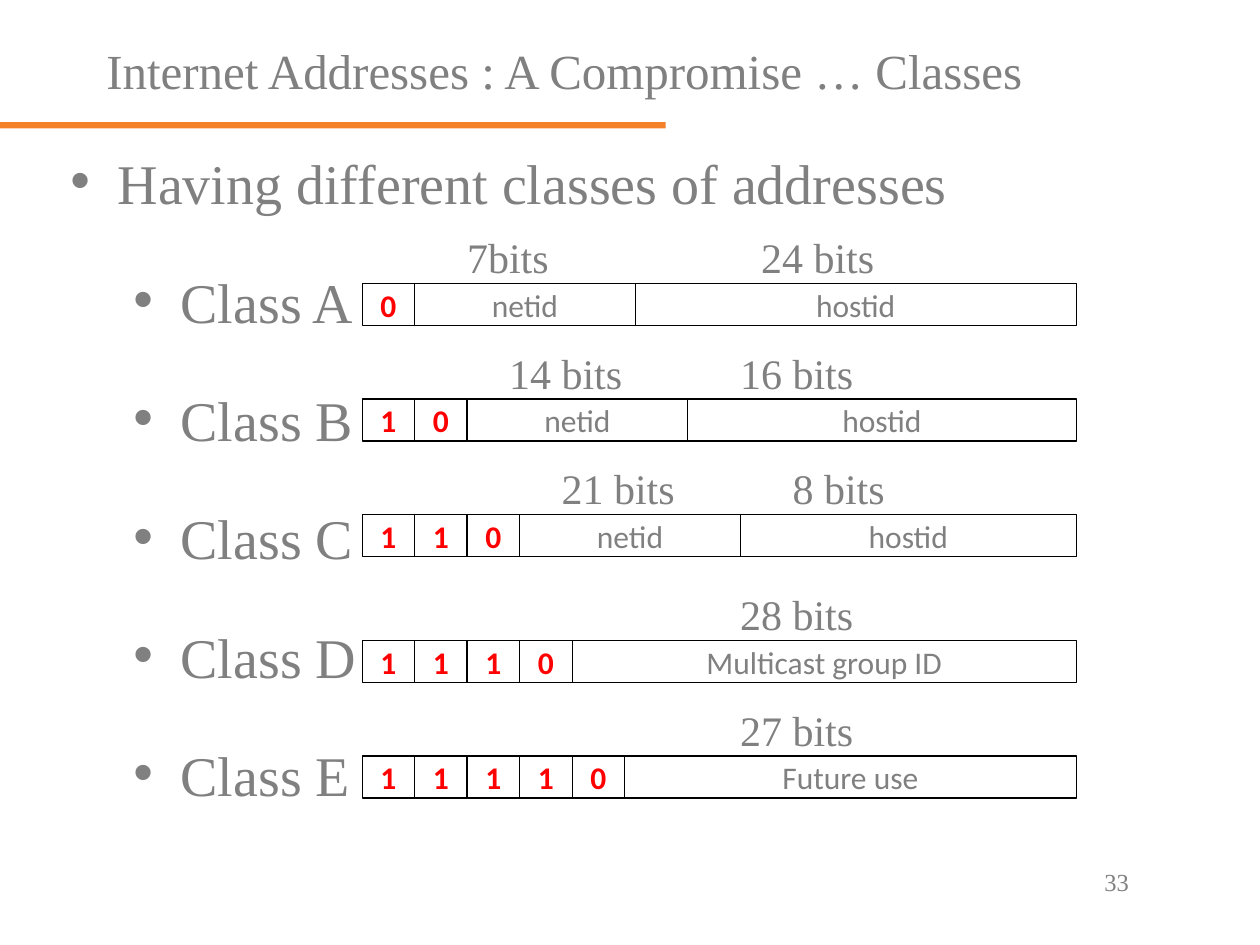
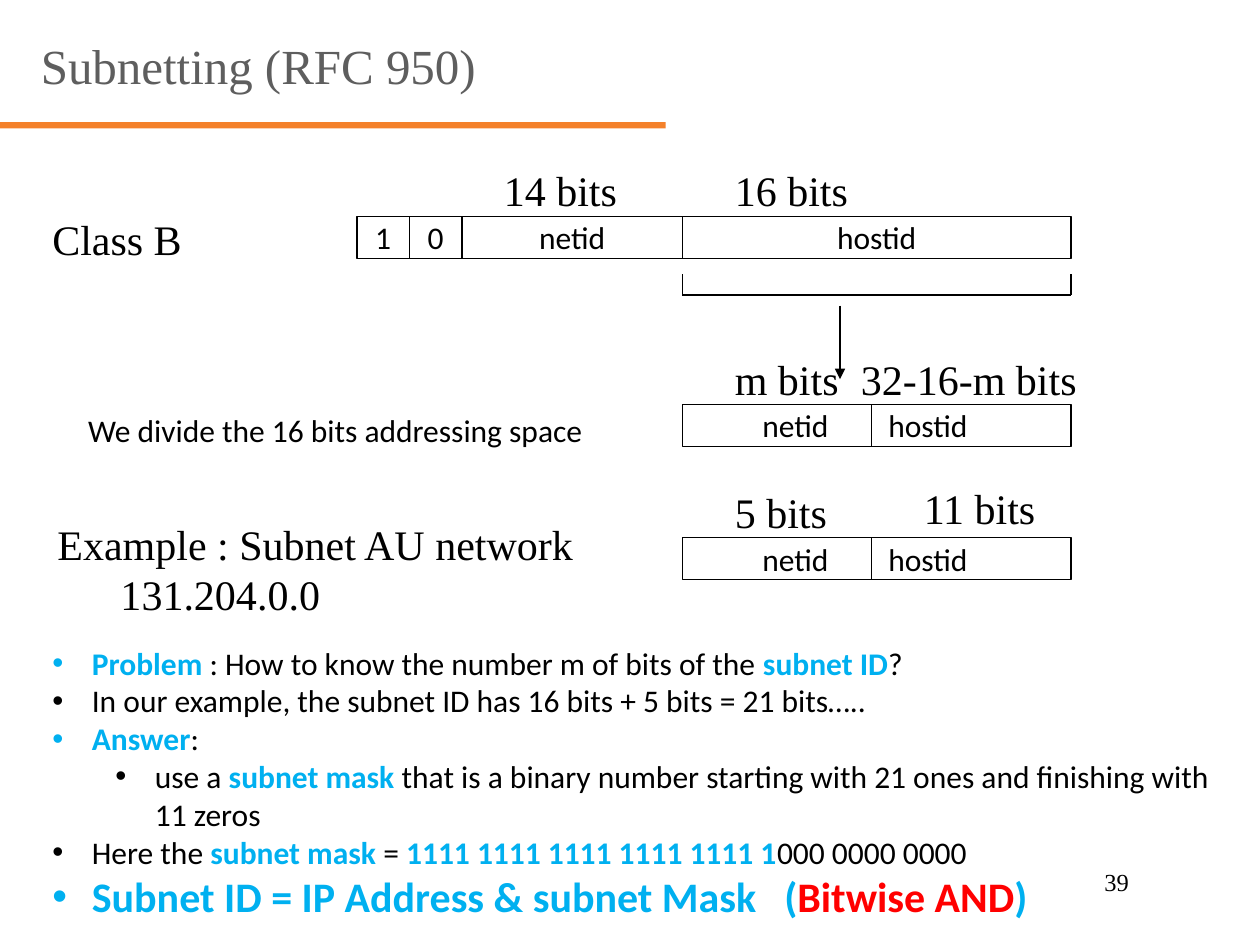
from dataclasses import dataclass
from typing import NamedTuple

from lxml.etree import SubElement
from pptx import Presentation
from pptx.dml.color import RGBColor
from pptx.enum.shapes import MSO_CONNECTOR as Connector, MSO_SHAPE as Shape
from pptx.enum.text import MSO_ANCHOR as Anchor, MSO_AUTO_SIZE as AutoSize, PP_ALIGN as Align
from pptx.oxml.ns import qn
from pptx.util import Emu, Inches, Pt

COLORS = {"black": "000000", "gray": "808080", "slate": "5E5E5E",
          "red": "FF0000", "blue": "00B0F0", "orange": "F4812A"}
SERIF, SANS = "Times New Roman", "Calibri"

# The page is a grid of 120 columns by 90 rows, twelve to the inch.
COLUMNS, ROWS = 120, 90
UNIT = Inches(10) / COLUMNS
BIT_WIDTH, FIELD_HEIGHT, LABEL_RISE, LABEL_HEIGHT = 5, 4, 5.5, 6


class Box(NamedTuple):
    left: float
    top: float
    width: float
    height: float

    def emu(self) -> list:
        return [units(value) for value in self]


class Run(NamedTuple):
    text: str
    color: str = "black"
    bold: bool = False
    size: float = 0


@dataclass
class Line:
    runs: list
    margin: float = 0
    hang: float = 0
    level: int = 0
    before: float = 0
    tab: float = 0


class Field(NamedTuple):
    name: str
    width: float
    bits: str
    label_shift: float


class AddressClass(NamedTuple):
    name: str
    top: float
    prefix: str
    fields: list


def units(value: float) -> Emu:
    return Emu(round(value * UNIT))


def rgb(name: str) -> RGBColor:
    return RGBColor.from_string(COLORS[name])


def write(frame, lines, *, size=18, font=SANS, color="black", bold=False, align=Align.LEFT,
          anchor=Anchor.TOP, wrap=True, spacing=1.0) -> None:
    """Fill a text frame; lines is a string or a list of Line."""
    frame.word_wrap, frame.auto_size, frame.vertical_anchor = wrap, AutoSize.NONE, anchor
    if isinstance(lines, str):
        lines = [Line([Run(lines, color, bold)])]
    for number, line in enumerate(lines):
        para = frame.paragraphs[0] if number == 0 else frame.add_paragraph()
        para.alignment, para.level = align, line.level
        para.line_spacing, para.space_before = spacing, Pt(line.before)
        props = para._p.get_or_add_pPr()
        props.set("marL", str(units(line.margin)))
        props.set("indent", str(units(-line.hang)))
        if line.hang:
            SubElement(props, qn("a:buChar"), char="•")
        if line.tab:
            tabs = SubElement(props, qn("a:tabLst"))
            SubElement(tabs, qn("a:tab"), pos=str(units(line.tab)), algn="l")
        for part in line.runs:
            run = para.add_run()
            run.text = part.text
            run.font.name, run.font.size = font, Pt(part.size or size)
            run.font.bold, run.font.color.rgb = part.bold, rgb(part.color)


def place(placeholder, box: Box):
    placeholder.left, placeholder.top, placeholder.width, placeholder.height = box.emu()
    return placeholder.text_frame


def add_text(slide, box: Box, lines, **style) -> None:
    write(slide.shapes.add_textbox(*box.emu()).text_frame, lines, **style)


def add_label(slide, left: float, top: float, text: str, color: str) -> None:
    width = 2.4 + 1.56 * len(text)
    add_text(slide, Box(left, top, width, LABEL_HEIGHT), text,
             size=24, font=SERIF, color=color, wrap=False)


def add_cell(slide, box: Box):
    cell = slide.shapes.add_shape(Shape.RECTANGLE, *box.emu())
    cell.shadow.inherit = False
    cell.fill.background()
    cell.line.color.rgb, cell.line.width = rgb("black"), Pt(0.75)
    frame = cell.text_frame
    frame.margin_left = frame.margin_right = frame.margin_top = frame.margin_bottom = 0
    return frame


def add_line(slide, x1: float, y1: float, x2: float, y2: float, arrow: bool = False) -> None:
    line = slide.shapes.add_connector(Connector.STRAIGHT, *map(units, (x1, y1, x2, y2)))
    line.line.color.rgb, line.line.width = rgb("black"), Pt(0.75)
    if arrow:
        SubElement(line.line._get_or_add_ln(), qn("a:tailEnd"), type="triangle")
    SubElement(line._element.spPr, qn("a:effectLst"))


def add_address(slide, left: float, address: AddressClass, color: str,
                bit_color: str, bit_bold: bool) -> None:
    """Draw the prefix bits one by one, then the named fields with their sizes above."""
    centered = dict(align=Align.CENTER, anchor=Anchor.MIDDLE, wrap=False)
    for bit in address.prefix:
        frame = add_cell(slide, Box(left, address.top, BIT_WIDTH, FIELD_HEIGHT))
        write(frame, bit, color=bit_color, bold=bit_bold, **centered)
        left += BIT_WIDTH
    for field in address.fields:
        frame = add_cell(slide, Box(left, address.top, field.width, FIELD_HEIGHT))
        write(frame, field.name, color=color, **centered)
        add_label(slide, left + field.label_shift, address.top - LABEL_RISE, field.bits, color)
        left += field.width


def add_split_host(slide, top: float) -> None:
    """Draw the host part divided into a subnet and a host field."""
    frame = add_cell(slide, Box(65, top, 37, FIELD_HEIGHT))
    frame.margin_left = units(7.6)
    write(frame, [Line([Run("netid\thostid")], tab=14.3)], anchor=Anchor.MIDDLE)
    add_line(slide, 83, top, 83, top + FIELD_HEIGHT)


def start_slide(deck, title: str, title_box: Box, title_color: str, number: str,
                number_color: str):
    slide = deck.slides.add_slide(deck.slide_layouts[1])
    band = slide.shapes.add_shape(Shape.RECTANGLE, *Box(0, 11.64, 63.4, 0.6).emu())
    band.shadow.inherit = False
    band.fill.solid()
    band.fill.fore_color.rgb = rgb("orange")
    band.line.fill.background()
    write(place(slide.shapes.title, title_box), title, size=28, font=SERIF,
          color=title_color, align=Align.CENTER, anchor=Anchor.MIDDLE)
    add_text(slide, Box(104, 82, 7, 3), number, size=14, font=SERIF, color=number_color)
    return slide


CLASSES = [
    AddressClass("Class A", 27, "0",
                 [Field("netid", 21, "7bits", 3.8), Field("hostid", 42, "24 bits", 10.8)]),
    AddressClass("Class B", 38, "10",
                 [Field("netid", 21, "14 bits", 2.8), Field("hostid", 37, "16 bits", 3.8)]),
    AddressClass("Class C", 49, "110",
                 [Field("netid", 21, "21 bits", 2.8), Field("hostid", 32, "8 bits", 3.8)]),
    AddressClass("Class D", 61, "1110", [Field("Multicast group ID", 48, "28 bits", 14.8)]),
    AddressClass("Class E", 72, "11110", [Field("Future use", 43, "27 bits", 9.8)]),
]


def build_classes(deck) -> None:
    slide = start_slide(deck, "Internet Addresses : A Compromise … Classes",
                        Box(0, 3.4, 107.5, 6.6), "gray", "33", "gray")
    outline = [Line([Run("Having different classes of addresses", "gray")], 4.5, 4.5)]
    outline += [Line([Run(address.name, "gray")], 10.5, 4.5, level=1, before=40.8)
                for address in CLASSES]
    write(place(slide.placeholders[1], Box(5.5, 15.3, 102, 54)), outline,
          size=32, font=SERIF, spacing=0.7)
    for address in CLASSES:
        add_address(slide, 34.5, address, "gray", "red", True)


def build_subnetting(deck) -> None:
    slide = start_slide(deck, "Subnetting (RFC 950)", Box(2.2, 2.4, 44.8, 7.6),
                        "slate", "39", "black")
    add_address(slide, 34, CLASSES[1]._replace(top=20.6), "black", "black", False)
    add_label(slide, 3.8, 19.7, "Class B", "black")

    for bracket_side in ((65, 26.1, 65, 28.1), (65, 28.1, 102, 28.1), (102, 28.1, 102, 26.1)):
        add_line(slide, *bracket_side)
    add_line(slide, 80, 29.1, 80, 36.1, arrow=True)

    for top in (38.5, 51.2):
        add_split_host(slide, top)
    add_text(slide, Box(68.8, 33.1, 40.2, LABEL_HEIGHT),
             [Line([Run("m bits\t32-16-m bits")], tab=16.85)], size=24, font=SERIF)
    add_label(slide, 68.8, 45.7, "5 bits", "black")
    add_label(slide, 86.8, 45.4, "11 bits", "black")
    add_text(slide, Box(7.2, 38.6, 50, 4.8), "We divide the 16 bits addressing space")
    add_text(slide, Box(4.3, 48.8, 54, 11),
             [Line([Run("Example : Subnet AU network")]), Line([Run("131.204.0.0")], margin=6)],
             size=24, font=SERIF)

    def key(text: str) -> Run:
        return Run(text, "blue", True)

    points = [
        [key("Problem"), Run(" : How to know the number m of bits of the "),
         key("subnet ID"), Run("?")],
        [Run("In our example, the subnet ID has 16 bits + 5 bits = 21 bits…..")],
        [key("Answer"), Run(":")],
        [Run("use a "), key("subnet mask"),
         Run(" that is a binary number starting with 21 ones and finishing with 11 zeros")],
        [Run("Here the "), key("subnet mask "), Run("= "),
         key("1111 1111 1111 1111 1111 1"), Run("000 0000 0000")],
        [Run("Subnet ID = IP Address & subnet Mask\t(", "blue", True, 24),
         Run("Bitwise AND", "red", True, 24), Run(")", "blue", True, 24)],
    ]
    lines = [Line(runs, 3.75, 3.75) for runs in points]
    lines[3].margin, lines[3].level = 9.75, 1
    lines[-1].tab = 69.7
    write(place(slide.placeholders[1], Box(3.8, 60.7, 116.2, 27.8)), lines)


def main() -> None:
    deck = Presentation()
    deck.slide_width, deck.slide_height = units(COLUMNS), units(ROWS)
    build_classes(deck)
    build_subnetting(deck)
    deck.save("out.pptx")


if __name__ == "__main__":
    main()
